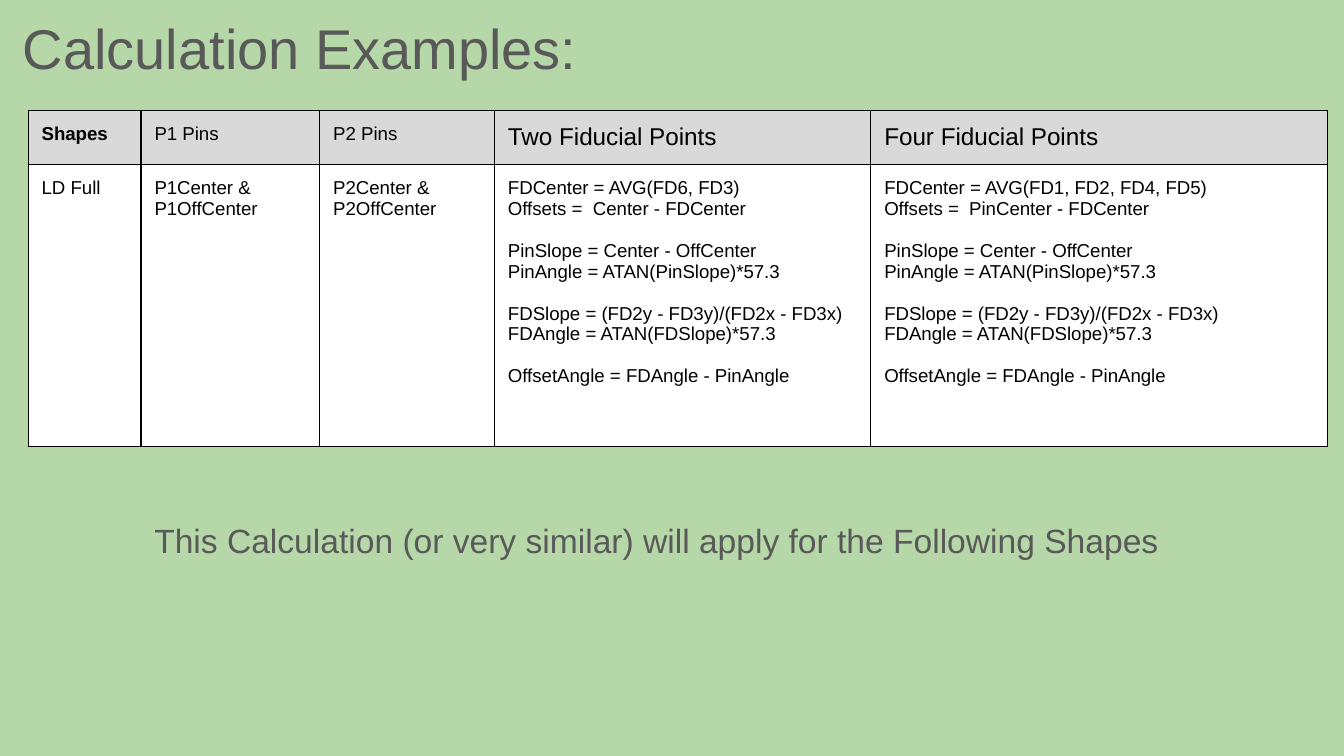
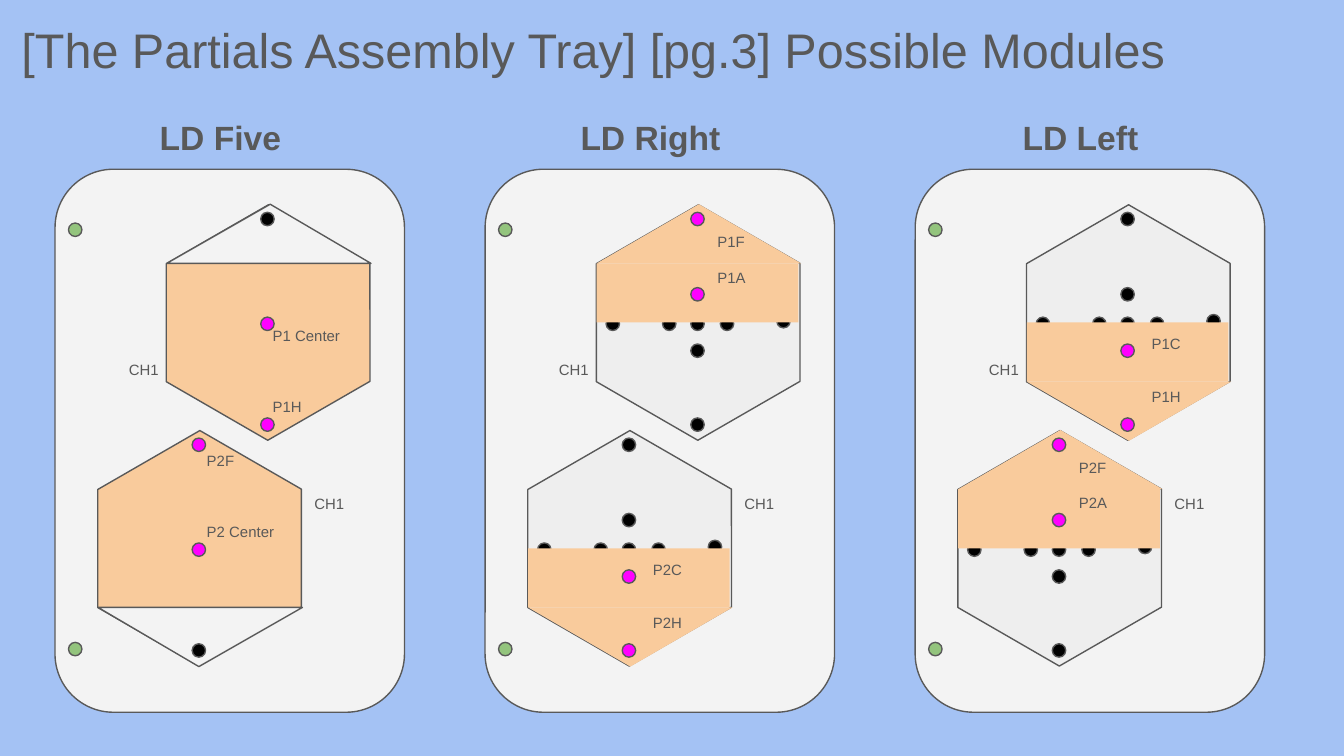
from dataclasses import dataclass

from lxml import etree
from pptx import Presentation
from pptx import util as u
from pptx.dml.color import RGBColor
from pptx.enum import shapes, text
from pptx.oxml.ns import qn


@dataclass(frozen=True)
class Theme:
    font: str = "Arial"
    ink: str = "595959"
    black: str = "000000"
    white: str = "FFFFFF"
    header: str = "D9D9D9"
    green_page: str = "B6D7A8"
    blue_page: str = "A4C2F4"
    tray: str = "F3F3F3"
    plate: str = "EEEEEE"
    module: str = "F9CB9C"
    pin: str = "FF00FF"
    guide: str = "93C47D"
    title_size: int = 30
    long_title_size: int = 26
    heading_size: int = 18
    column_size: int = 13
    cell_size: int = 10
    label_size: int = 8
    line_width: float = 0.75
    inset: float = 0.1


THEME = Theme()
KIND = shapes.MSO_SHAPE
TRAY_PITCH = 3.2
CENTERS = ((2.0, 2.4), (1.49, 4.08))
DOT = 0.1
HALF_WIDTH, HALF_HEIGHT = 1.52, 0.44

# Hole offsets from the middle of a hexagon
HOLES = {
    "F": (-0.06, -0.82),
    "A": (-0.06, -0.26),
    " Center": (-0.06, -0.04),
    "C": (-0.06, 0.16),
    "H": (-0.06, 0.71),
    "row 1": (-0.69, -0.04),
    "row 2": (-0.27, -0.04),
    "row 3": (0.16, -0.04),
    "row 4": (0.58, -0.06),
}
ROW = (" Center", "row 1", "row 2", "row 3", "row 4")


@dataclass(frozen=True)
class Module:
    """A partial module: its half or cut end, holes, pins and label place."""
    holes: tuple
    pins: tuple
    label_at: tuple
    label_gap: int
    half: str = ""
    cut: str = ""


TOP_HALF = Module(ROW + ("C", "H"), ("F", "A"), (0.04, -0.77), 1, half="top")
BOTTOM_HALF = Module(ROW + ("F", "A"), ("C", "H"), (0.07, -0.01), 2, half="bottom")
TOP_CUT = Module(("F",), (" Center", "H"), (-0.07, -0.07), 3, cut="top")
BOTTOM_CUT = Module(("H",), ("F", " Center"), (-0.05, -0.82), 3, cut="bottom")

TRAYS = (
    ("LD Five", (TOP_CUT, BOTTOM_CUT)),
    ("LD Right", (TOP_HALF, BOTTOM_HALF)),
    ("LD Left", (BOTTOM_HALF, TOP_HALF)),
)

ANGLE_STEPS = (
    ("PinSlope = Center - OffCenter", "PinAngle = ATAN(PinSlope)*57.3"),
    ("FDSlope = (FD2y - FD3y)/(FD2x - FD3x)", "FDAngle = ATAN(FDSlope)*57.3"),
    ("OffsetAngle = FDAngle - PinAngle",),
)
COLUMNS = (
    ("Shapes", 0.84, (("LD Full",),)),
    ("P1 Pins", 1.33, (("P1Center & P1OffCenter",),)),
    ("P2 Pins", 1.3, (("P2Center & P2OffCenter",),)),
    ("Two Fiducial Points", 2.8,
     (("FDCenter = AVG(FD6, FD3)", "Offsets =  Center - FDCenter"),) + ANGLE_STEPS),
    ("Four Fiducial Points", 3.4,
     (("FDCenter = AVG(FD1, FD2, FD4, FD5)", "Offsets =  PinCenter - FDCenter"),)
     + ANGLE_STEPS),
)


def rgb(color):
    return RGBColor.from_string(color)


def inches(*lengths):
    return [u.Inches(round(length, 2)) for length in lengths]


def format_text(frame, size, color=THEME.ink, bold=False, align=text.PP_ALIGN.LEFT):
    for para in frame.paragraphs:
        para.alignment = align
        for span in para.runs:
            span.font.name = THEME.font
            span.font.size = u.Pt(size)
            span.font.bold = bold
            span.font.color.rgb = rgb(color)


def set_insets(holder):
    """Give a text frame or table cell the shared margins."""
    holder.margin_left = holder.margin_right = u.Inches(THEME.inset)
    holder.margin_top = holder.margin_bottom = u.Inches(THEME.inset)
    holder.vertical_anchor = text.MSO_ANCHOR.TOP


def write_groups(frame, groups, gap):
    """Write groups of lines, with gap points before each later group."""
    frame.text = "\n".join(line for group in groups for line in group)
    index = 0
    for group in groups[:-1]:
        index += len(group)
        frame.paragraphs[index].space_before = u.Pt(gap)


def add_page(deck, title, background, place, size):
    page = deck.slides.add_slide(deck.slide_layouts[5])
    page.background.fill.solid()
    page.background.fill.fore_color.rgb = rgb(background)
    box = page.shapes.title
    box.left, box.top, box.width, box.height = inches(*place)
    frame = box.text_frame
    frame.text = title
    frame.word_wrap = True
    frame.auto_size = text.MSO_AUTO_SIZE.NONE
    set_insets(frame)
    format_text(frame, size)
    return page


def add_label(page, groups, place, size, gap=0, grow=False, **style):
    frame = page.shapes.add_textbox(*inches(*place)).text_frame
    frame.word_wrap = True
    if grow:
        frame.auto_size = text.MSO_AUTO_SIZE.SHAPE_TO_FIT_TEXT
    set_insets(frame)
    write_groups(frame, groups, gap)
    format_text(frame, size, **style)


def add_figure(page, kind, place, fill, outlined=True, rotation=0, adjust=()):
    figure = page.shapes.add_shape(kind, *inches(*place))
    figure.shadow.inherit = False
    figure.rotation = rotation
    for index, value in enumerate(adjust):
        figure.adjustments[index] = value
    figure.fill.solid()
    figure.fill.fore_color.rgb = rgb(fill)
    if outlined:
        figure.line.color.rgb = rgb(THEME.ink)
        figure.line.width = u.Pt(THEME.line_width)
    else:
        figure.line.fill.background()


def add_dot(page, left, top, fill):
    add_figure(page, KIND.OVAL, (left, top, DOT, DOT), fill)


def add_line(page, start, end):
    line = page.shapes.add_connector(
        shapes.MSO_CONNECTOR.STRAIGHT, *inches(*start, *end))
    line.line.color.rgb = rgb(THEME.ink)
    line.line.width = u.Pt(THEME.line_width)
    etree.SubElement(line._element.spPr, qn("a:effectLst"))


def set_borders(cell):
    properties = cell._tc.get_or_add_tcPr()
    for index, side in enumerate(("a:lnL", "a:lnR", "a:lnT", "a:lnB")):
        border = etree.Element(qn(side), w=str(u.Pt(THEME.line_width)))
        fill = etree.SubElement(border, qn("a:solidFill"))
        etree.SubElement(fill, qn("a:srgbClr"), val=THEME.black)
        properties.insert(index, border)


def fill_cell(cell, groups, fill, size, bold=False):
    set_insets(cell)
    write_groups(cell.text_frame, groups, gap=11.3)
    format_text(cell.text_frame, size, THEME.black, bold)
    cell.fill.solid()
    cell.fill.fore_color.rgb = rgb(fill)
    set_borders(cell)


def add_calculation_table(page):
    width = sum(column[1] for column in COLUMNS)
    table = page.shapes.add_table(
        2, len(COLUMNS), *inches(0.21, 0.82, width, 2.5)).table
    table.first_row = table.horz_banding = False
    table.rows[0].height, table.rows[1].height = inches(0.4, 2.1)
    for index, (heading, width, groups) in enumerate(COLUMNS):
        table.columns[index].width = u.Inches(width)
        size = THEME.column_size if "Fiducial" in heading else THEME.cell_size
        fill_cell(table.cell(0, index), ((heading,),), THEME.header, size, index == 0)
        fill_cell(table.cell(1, index), groups, THEME.white, THEME.cell_size)


def add_end(page, center_x, center_y, side, kind, fill, **style):
    """Draw the triangle that forms the top or bottom of a hexagon."""
    top = center_y + (-2 * HALF_HEIGHT if side == "top" else HALF_HEIGHT)
    add_figure(page, kind, (center_x - HALF_WIDTH / 2, top, HALF_WIDTH, HALF_HEIGHT),
               fill, rotation=0 if side == "top" else 180, **style)


def add_half(page, center_x, center_y, side):
    add_end(page, center_x, center_y, side, KIND.FLOWCHART_EXTRACT,
            THEME.module, outlined=False)
    top = center_y - (HALF_HEIGHT if side == "top" else 0)
    add_figure(page, KIND.RECTANGLE,
               (center_x - HALF_WIDTH / 2, top, HALF_WIDTH - 0.02, HALF_HEIGHT),
               THEME.module, outlined=False)


def add_module(page, module, number, center_x, center_y):
    def add_dots(names, fill):
        for name in names:
            across, down = HOLES[name]
            add_dot(page, center_x + across, center_y + down, fill)

    add_figure(page, KIND.HEXAGON, (center_x - 0.88, center_y - 0.76, 1.75, 1.52),
               THEME.module if module.cut else THEME.plate,
               rotation=30, adjust=(0.289, 1.155))
    if module.cut:
        add_end(page, center_x, center_y, module.cut, KIND.ISOSCELES_TRIANGLE,
                THEME.tray, adjust=(0.507,))
    add_dots(module.holes, THEME.black)
    if module.half:
        add_half(page, center_x, center_y, module.half)
    add_dots(module.pins, THEME.pin)
    across, down = module.label_at
    add_label(page, [(f"P{number}{pin}",) for pin in module.pins],
              (center_x + across, center_y + down, 0.77, 0.92),
              THEME.label_size, gap=9.5 * module.label_gap)


def add_tray(page, name, modules, shift):
    add_figure(page, KIND.ROUNDED_RECTANGLE, (0.41 + shift, 1.26, 2.6, 4.04),
               THEME.tray, adjust=(0.167,))
    add_label(page, ((name,),), (0.6 + shift, 0.77, 2.08, 0.41),
              THEME.heading_size, bold=True, align=text.PP_ALIGN.CENTER)
    for top in (1.66, 4.78):
        add_dot(page, 0.51 + shift, top, THEME.guide)
    for left, top in ((0.86, 2.62), (2.24, 3.61)):
        add_label(page, (("CH1",),), (left + shift, top, 0.48, 0.26),
                  THEME.label_size, grow=True)
    for number, (module, center) in enumerate(zip(modules, CENTERS), 1):
        add_module(page, module, number, center[0] + shift, center[1])


def add_calculation_page(deck):
    page = add_page(deck, "Calculation Examples:", THEME.green_page,
                    (0.07, 0, 8.19, 0.73), THEME.title_size)
    add_calculation_table(page)
    note = "This Calculation (or very similar) will apply for the Following Shapes"
    add_label(page, ((note,),), (1.05, 3.77, 7.79, 0.5), THEME.heading_size, grow=True)


def add_modules_page(deck):
    page = add_page(deck, "[The Partials Assembly Tray] [pg.3] Possible Modules",
                    THEME.blue_page, (0.06, 0.05, 10.3, 0.73), THEME.long_title_size)
    for index, (name, modules) in enumerate(TRAYS):
        add_tray(page, name, modules, index * TRAY_PITCH)
    add_line(page, (1.24, 1.96), (2.75, 1.96))


def main():
    deck = Presentation()
    deck.slide_width = u.Inches(10)
    deck.slide_height = deck.slide_width * 9 // 16
    add_calculation_page(deck)
    add_modules_page(deck)
    deck.save("out.pptx")


if __name__ == "__main__":
    main()
